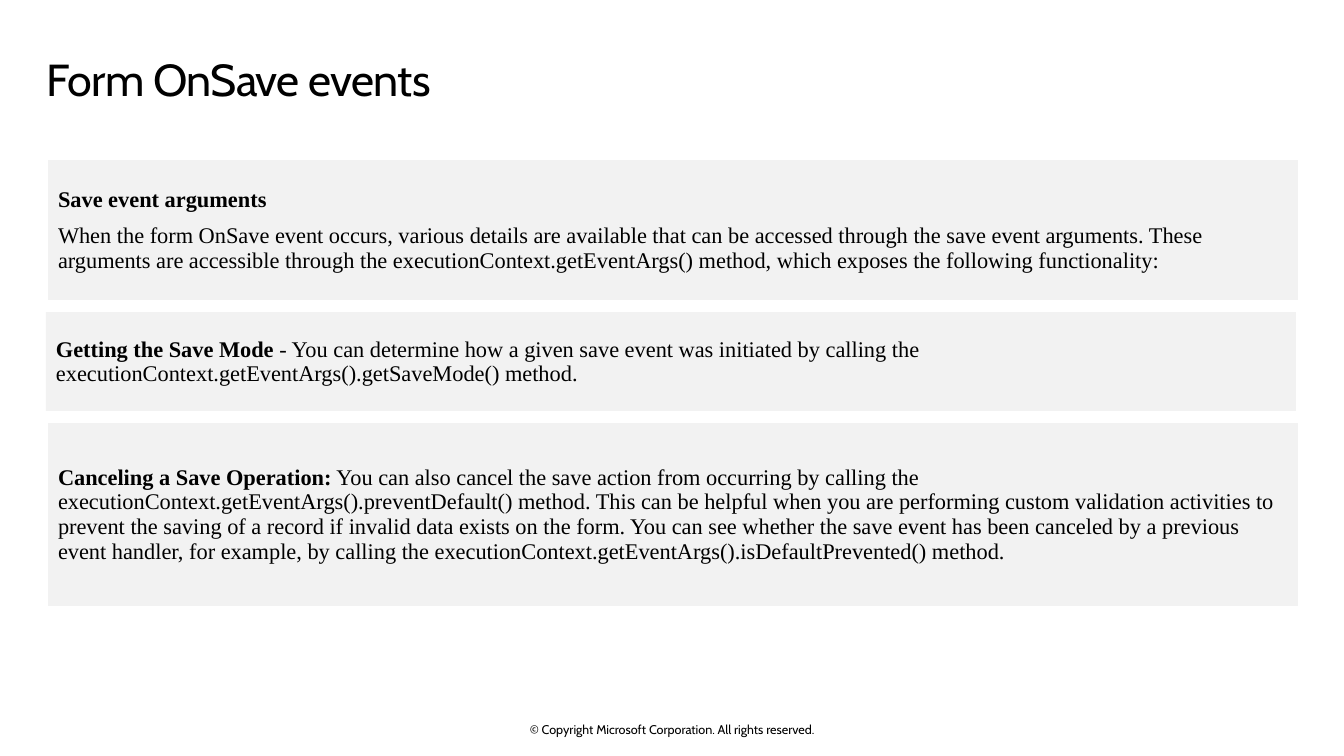
from pptx import Presentation
from pptx.dml.color import RGBColor
from pptx.enum.text import MSO_ANCHOR, MSO_AUTO_SIZE, PP_ALIGN
from pptx.oxml.ns import qn
from pptx.util import Emu, Pt
from lxml import etree

TOP, MID = MSO_ANCHOR.TOP, MSO_ANCHOR.MIDDLE
LEFT, CENTER = PP_ALIGN.LEFT, PP_ALIGN.CENTER
FIXED = MSO_AUTO_SIZE.NONE
SCALE = 914400 / 100.8


def px(n):
    return Emu(round(n * SCALE))


def write(shape, paras, box, font="Times New Roman", size=16, color="000000",
          align=LEFT, anchor=MID, inset=(10, 10, 10, 10), line=Pt(17.6),
          gap=8.8, track=0):
    """Place a shape and fill it; each paragraph is a list of (text, bold)."""
    shape.left, shape.top, shape.width, shape.height = map(px, box)
    frame = shape.text_frame
    frame.word_wrap, frame.auto_size = True, FIXED
    frame.vertical_anchor = anchor
    (frame.margin_left, frame.margin_top,
     frame.margin_right, frame.margin_bottom) = map(px, inset)
    for i, runs in enumerate(paras):
        para = frame.add_paragraph() if i else frame.paragraphs[0]
        props = para._p.get_or_add_pPr()
        props.set("marL", "0")
        props.set("indent", "0")
        etree.SubElement(props, qn("a:buNone"))
        para.alignment, para.line_spacing = align, line
        para.space_before = Pt(gap if i else 0)
        for text, bold in runs:
            run = para.add_run()
            run.text = text
            run.font.name, run.font.size, run.font.bold = font, Pt(size), bold
            run.font.color.rgb = RGBColor.from_string(color)
            if track:
                run._r.get_or_add_rPr().set("spc", str(track))


deck = Presentation()
deck.slide_width, deck.slide_height = px(1344), px(756)
slide = deck.slides.add_slide(deck.slide_layouts[4])
holders = {h.placeholder_format.idx: h for h in slide.placeholders}

# Title
write(slide.shapes.title, [[("Form OnSave events", False)]], (47, 48, 1250, 75),
      font="Cabin", size=32, anchor=TOP, inset=(0, 10, 16, 10), line=0.9,
      track=-50)

# Grey panels: left, height, paragraphs
panels = [
    (48, 140, [
        [("Save event arguments", True)],
        [("When the form OnSave event occurs, various details are available that can be accessed through the save event arguments. These arguments are accessible through the executionContext.getEventArgs() method, which exposes the following functionality:", False)]]),
    (46, 99, [
        [("Getting the Save Mode", True),
         (" - You can determine how a given save event was initiated by calling the executionContext.getEventArgs().getSaveMode() method.", False)]]),
    (48, 183, [
        [("Canceling a Save Operation:", True),
         (" You can also cancel the save action from occurring by calling the executionContext.getEventArgs().preventDefault() method. This can be helpful when you are performing custom validation activities to prevent the saving of a record if invalid data exists on the form. You can see whether the save event has been canceled by a previous event handler, for example, by calling the executionContext.getEventArgs().isDefaultPrevented() method.", False)]]),
]
top = 160
for idx, (left, high, paras) in enumerate(panels, 1):
    panel = holders[idx]
    write(panel, paras, (left, top, 1250, high))
    panel.fill.solid()
    panel.fill.fore_color.rgb = RGBColor.from_string("F2F2F2")
    top += high + 12

# Unused placeholder
spare = holders[4]._element
spare.getparent().remove(spare)

# Copyright line
foot = slide.shapes.add_textbox(0, 0, 0, 0)
write(foot, [[("© Copyright Microsoft Corporation. All rights reserved.", False)]],
      (445, 722, 454, 15), font="Cabin", size=9, align=CENTER,
      inset=(0, 0, 0, 0), line=1.0)

deck.save("out.pptx")
